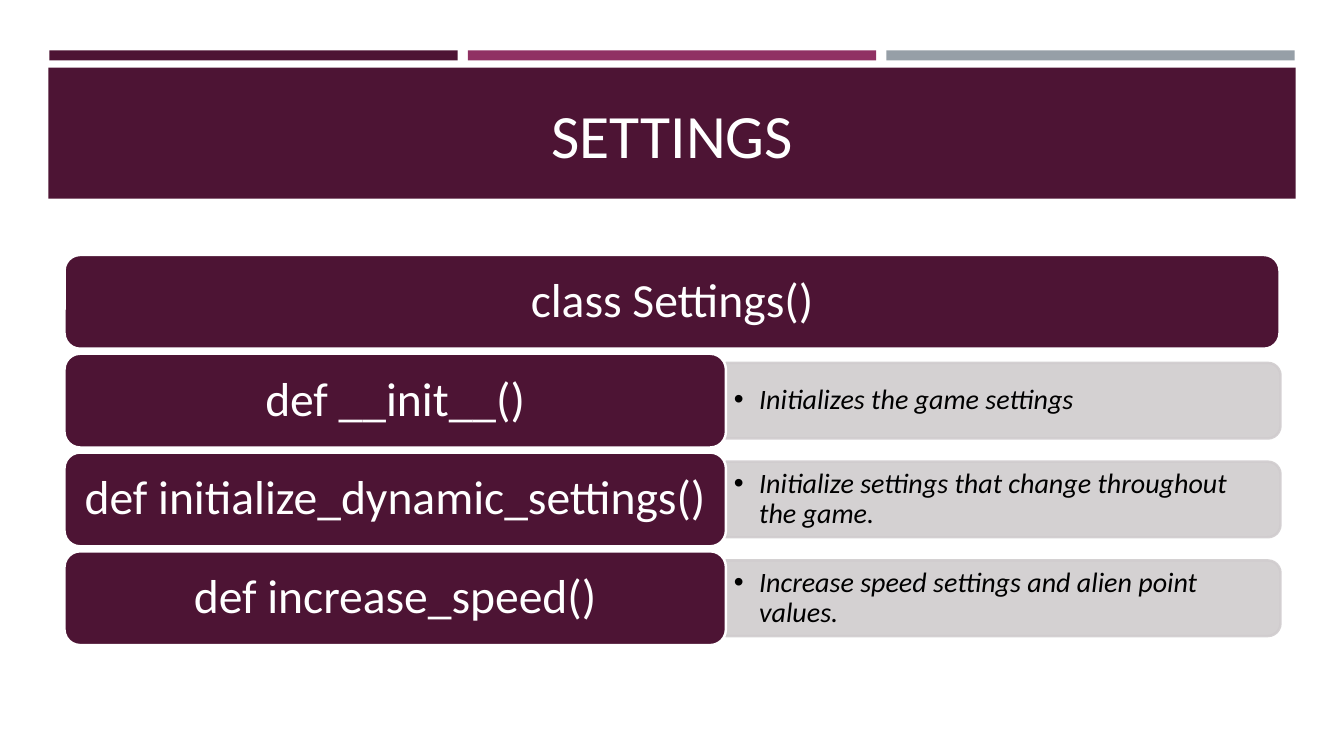
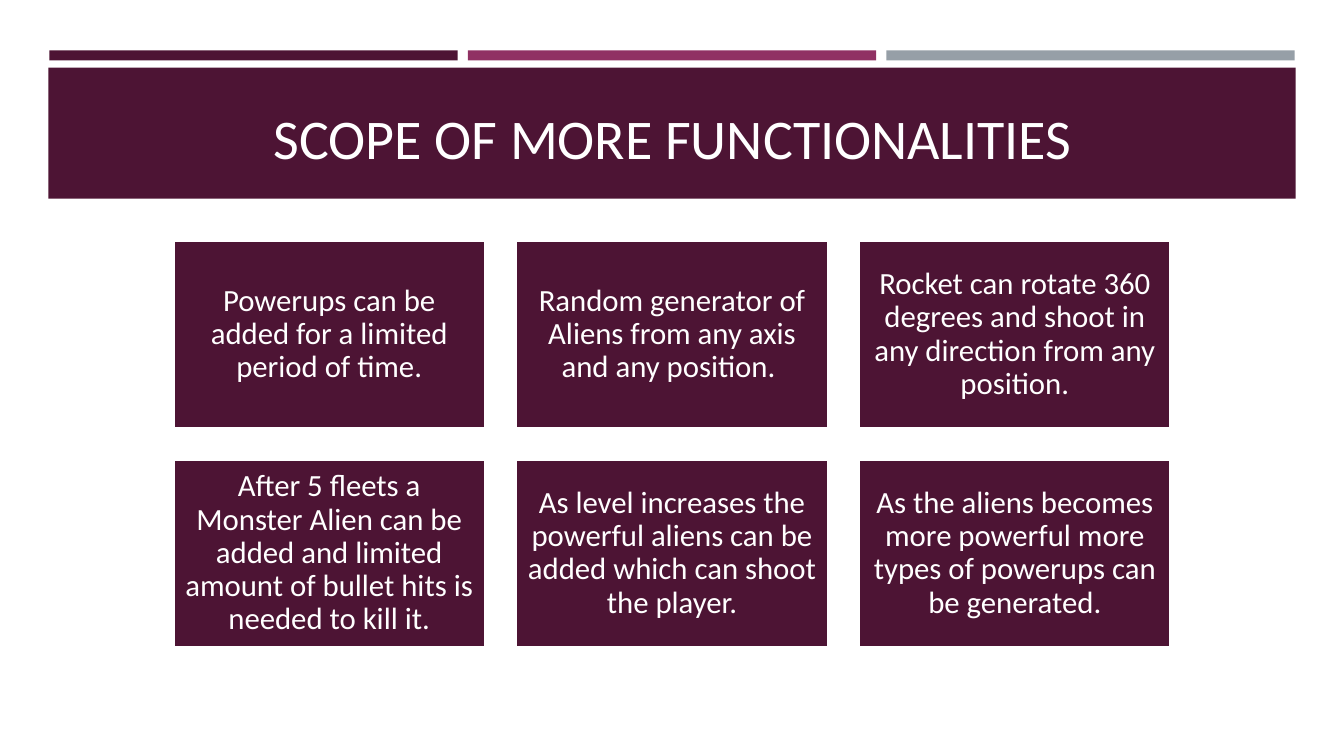
from lxml.etree import SubElement
from pptx import Presentation
from pptx.dml.color import RGBColor
from pptx.enum.shapes import MSO_SHAPE as Shape
from pptx.enum.text import MSO_ANCHOR as Anchor, PP_ALIGN as Align
from pptx.oxml.ns import qn
from pptx.util import Inches, Pt

PLUM = RGBColor(0x4D, 0x14, 0x34)
MAGENTA = RGBColor(0x90, 0x31, 0x63)
SLATE = RGBColor(0x96, 0x9F, 0xA7)
PALE = RGBColor(0xD0, 0xCC, 0xCE)
WHITE = RGBColor(0xFF, 0xFF, 0xFF)
BLACK = RGBColor(0x00, 0x00, 0x00)
FONT = "Calibri"

# Content
SETTINGS_TITLE = "SETTINGS"
CLASS_NAME = "class Settings()"
METHODS = [
    ("def __init__()", "Initializes the game settings"),
    ("def initialize_dynamic_settings()",
     "Initialize settings that change throughout the game."),
    ("def increase_speed()", "Increase speed settings and alien point values."),
]
SCOPE_TITLE = "SCOPE OF MORE FUNCTIONALITIES"
IDEAS = [
    "Powerups can be added for a limited period of time.",
    "Random generator of Aliens from any axis and any position. ",
    "Rocket can rotate 360 degrees and shoot in any direction from any position.",
    "After 5 fleets a Monster Alien can be added and limited amount of "
    "bullet hits is needed to kill it.",
    "As level increases the powerful aliens can be added which can shoot the player.",
    "As the aliens becomes more powerful more types of powerups can be generated.",
]


def add_block(slide, kind, left, top, width, height, fill, line=None):
    shape = slide.shapes.add_shape(
        kind, Inches(left), Inches(top), Inches(width), Inches(height))
    shape.shadow.inherit = False
    shape.fill.solid()
    shape.fill.fore_color.rgb = fill
    if line is None:
        shape.line.fill.background()
    else:
        shape.line.color.rgb = line
        shape.line.width = Pt(1.75)
    return shape


def add_text_box(slide, left, top, width, height):
    return slide.shapes.add_textbox(
        Inches(left), Inches(top), Inches(width), Inches(height))


def write(shape, text, size, color=WHITE, align=Align.CENTER,
          anchor=Anchor.MIDDLE, inset=(0.1, 0.05), spacing=0.9, italic=False):
    frame = shape.text_frame
    frame.text = text
    frame.word_wrap = True
    frame.vertical_anchor = anchor
    frame.margin_left = frame.margin_right = Inches(inset[0])
    frame.margin_top = frame.margin_bottom = Inches(inset[1])
    paragraph = frame.paragraphs[0]
    paragraph.alignment = align
    paragraph.line_spacing = spacing
    font = paragraph.runs[0].font
    font.name, font.size, font.italic = FONT, Pt(size), italic
    font.color.rgb = color
    return paragraph


def add_bullet(paragraph, indent):
    properties = paragraph._p.get_or_add_pPr()
    properties.set("marL", str(Inches(indent)))
    properties.set("indent", str(-Inches(indent)))
    SubElement(properties, qn("a:buFont"), typeface="Arial")
    SubElement(properties, qn("a:buChar"), char="•")


def set_opacity(shape, percent):
    for color in shape._element.spPr.iter(qn("a:srgbClr")):
        SubElement(color, qn("a:alpha"), val=str(percent * 1000))


def add_titled_slide(presentation, title, size):
    slide = presentation.slides.add_slide(presentation.slide_layouts[6])
    # Three thin bars above the title band
    for column, color in enumerate((PLUM, MAGENTA, SLATE)):
        add_block(slide, Shape.RECTANGLE, 0.49 + 4.15 * column, 0.5, 4.05, 0.1, color)
    add_block(slide, Shape.RECTANGLE, 0.48, 0.67, 12.37, 1.3, PLUM)
    write(add_text_box(slide, 0.64, 0.85, 12.06, 0.9), title, size,
          anchor=Anchor.BOTTOM, spacing=0.9)
    return slide


def build_settings(presentation):
    slide = add_titled_slide(presentation, SETTINGS_TITLE, 44)
    left, top, row_height, pitch = 0.64, 2.53, 0.93, 0.98
    full_width, name_width = 12.05, 6.56
    panel_left, panel_width, panel_height = left + name_width, 5.5, 0.75

    def add_name(text, row_top, width):
        block = add_block(slide, Shape.ROUNDED_RECTANGLE, left, row_top,
                          width, row_height, PLUM, WHITE)
        write(block, text, 34, inset=(0.14, 0.07))

    add_name(CLASS_NAME, top, full_width)
    for row, (name, note) in enumerate(METHODS, start=1):
        row_top = top + pitch * row
        middle = row_top + row_height / 2
        # Panel turned a quarter so that its rounded corners face right
        panel = add_block(
            slide, Shape.ROUND_2_SAME_RECTANGLE,
            panel_left + (panel_width - panel_height) / 2, middle - panel_width / 2,
            panel_height, panel_width, PALE, PALE)
        panel.rotation = 90
        set_opacity(panel, 90)
        note_box = add_text_box(slide, panel_left, middle - 0.335, 5.46, 0.67)
        add_bullet(write(note_box, note, 20, BLACK, Align.LEFT,
                         inset=(0.08, 0.04), italic=True), 0.25)
        add_name(name, row_top, name_width)


def build_scope(presentation):
    slide = add_titled_slide(presentation, SCOPE_TITLE, 40)
    columns, width, height, gap = 3, 3.09, 1.86, 0.31
    for index, idea in enumerate(IDEAS):
        row, column = divmod(index, columns)
        card = add_block(slide, Shape.RECTANGLE, 1.72 + column * (width + gap),
                         2.39 + row * (height + gap), width, height, PLUM, WHITE)
        write(card, idea, 22, inset=(0.09, 0.09))


def main():
    presentation = Presentation()
    presentation.slide_width = Inches(13.33)
    presentation.slide_height = Inches(7.5)
    build_settings(presentation)
    build_scope(presentation)
    presentation.save("out.pptx")


if __name__ == "__main__":
    main()
